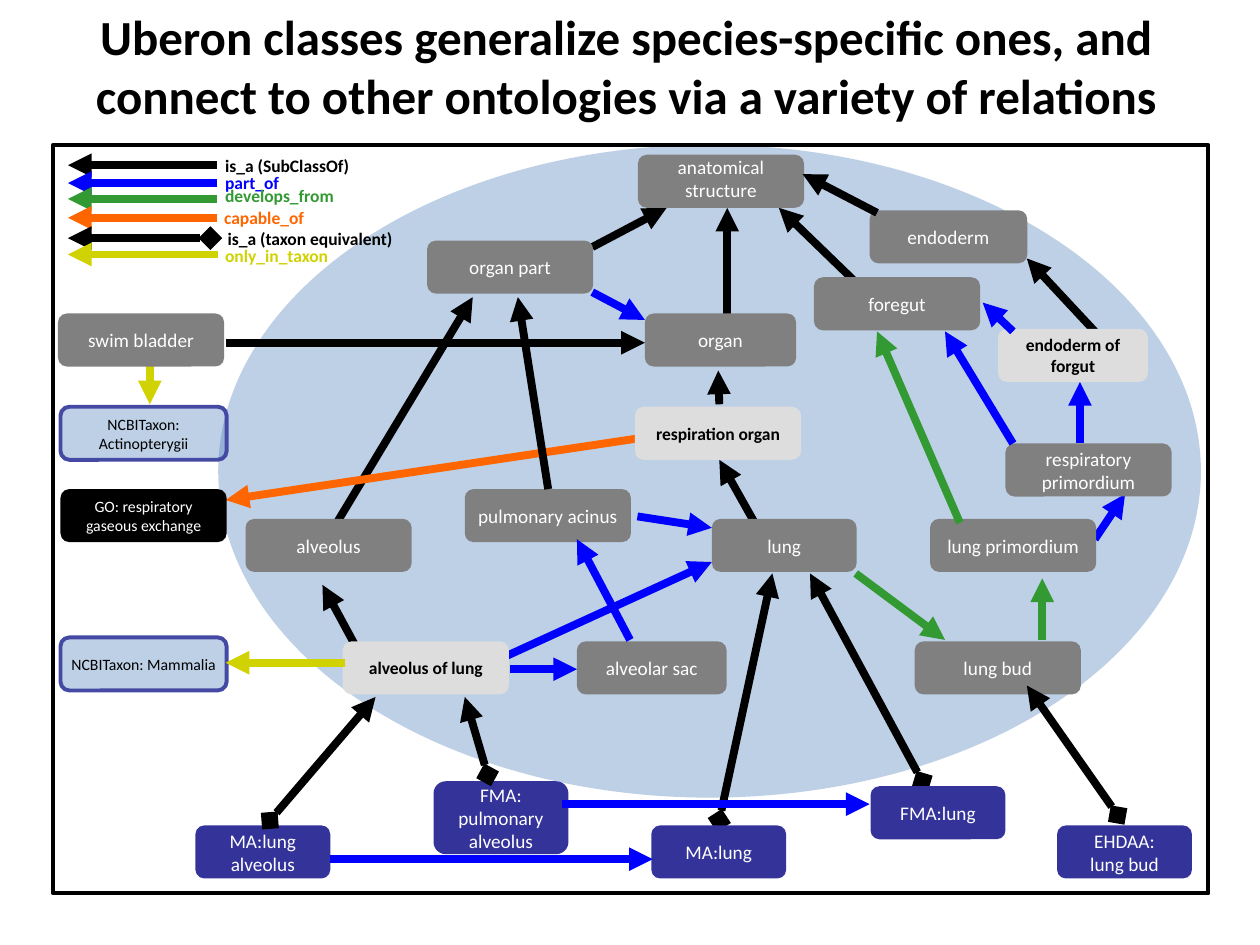
from dataclasses import dataclass
from typing import NamedTuple

from lxml import etree
from pptx import Presentation
from pptx.dml.color import RGBColor
from pptx.enum.shapes import MSO_CONNECTOR, MSO_SHAPE
from pptx.enum.text import MSO_ANCHOR, PP_ALIGN
from pptx.oxml.ns import qn
from pptx.util import Cm, Pt

STRAIGHT = MSO_CONNECTOR.STRAIGHT
ELLIPSE, RECTANGLE, ROUNDED = MSO_SHAPE.OVAL, MSO_SHAPE.RECTANGLE, MSO_SHAPE.ROUNDED_RECTANGLE
CENTER, LEFT = PP_ALIGN.CENTER, PP_ALIGN.LEFT
TOP, MIDDLE, BOTTOM = MSO_ANCHOR.TOP, MSO_ANCHOR.MIDDLE, MSO_ANCHOR.BOTTOM


class Box(NamedTuple):
    """A region in centimetres."""
    left: float
    top: float
    width: float
    height: float

    def inner(self, x, y, width, height):
        return Box(self.left + x, self.top + y, width, height)

    def lengths(self):
        return [Cm(value) for value in self]


@dataclass(frozen=True)
class Theme:
    font: str = "Calibri"
    black: str = "000000"
    white: str = "FFFFFF"
    haze: str = "4F81BD"
    haze_alpha: int = 37
    taxon_line: str = "444AA3"
    title_size: float = 28
    legend_size: float = 10
    edge_width: float = 4.5
    frame_width: float = 2.25


THEME = Theme()
RELATIONS = {
    "is_a": "000000", "part_of": "0000FF", "develops_from": "339933",
    "capable_of": "FF6600", "equivalent": "000000", "only_in_taxon": "D1D201",
}
# Kind of node: fill, text colour, text size, bold
NODE_STYLES = {
    "uberon": ("808080", THEME.white, 11, False),
    "defined": ("DDDDDD", THEME.black, 10, True),
    "species": ("333399", THEME.white, 11, False),
    "process": ("000000", THEME.white, 9, False),
    "taxon": (THEME.haze, THEME.black, 9, False),
}
NODE_WIDTH, NODE_HEIGHT, SPECIES_WIDTH = 3.35, 1.07, 2.72

# Kind, x, y, label, then width and height where they differ
NODES = [
    ("uberon", 11.79, 0.2, "anatomical structure"),
    ("defined", 19.05, 3.71, "endoderm of forgut", 3.02),
    ("uberon", 17.37, 10.01, "lung bud"),
    ("uberon", 13.28, 7.54, "lung", 2.92),
    ("defined", 11.73, 5.28, "respiration organ"),
    ("uberon", 11.93, 3.4, "organ", 3.05),
    ("uberon", 15.34, 2.67, "foregut"),
    ("uberon", 3.88, 7.54, "alveolus"),
    ("defined", 5.84, 10.01, "alveolus of lung"),
    ("uberon", 7.54, 1.93, "organ part"),
    ("species", 16.48, 12.93, "FMA:lung", SPECIES_WIDTH),
    ("species", 12.06, 13.72, "MA:lung", SPECIES_WIDTH),
    ("uberon", 16.46, 1.32, "endoderm", 3.18),
    ("process", 0.15, 6.94, "GO: respiratory gaseous exchange"),
    ("species", 2.87, 13.72, "MA:lung alveolus", SPECIES_WIDTH),
    ("species", 7.67, 12.83, "FMA: pulmonary alveolus", SPECIES_WIDTH, 1.47),
    ("taxon", 0.15, 9.93, "NCBITaxon: Mammalia"),
    ("species", 20.24, 13.72, "EHDAA:\nlung bud", SPECIES_WIDTH),
    ("uberon", 8.3, 6.94, "pulmonary acinus"),
    ("uberon", 10.56, 10.01, "alveolar sac", 3.02),
    ("uberon", 17.68, 7.54, "lung primordium"),
    ("uberon", 0.1, 3.4, "swim bladder"),
    ("uberon", 19.2, 6.02, "respiratory primordium"),
    ("taxon", 0.15, 5.28, "NCBITaxon:\nActinopterygii"),
]

# Relation, start x, start y, end x, end y
EDGES_BEHIND = [
    ("only_in_taxon", 1.95, 4.45, 1.95, 5.23),
    ("part_of", 21, 7.95, 21.61, 7.04),
    ("develops_from", 16.18, 8.64, 17.98, 9.98),
    ("is_a", 16.15, 2.74, 14.63, 1.27),
    ("equivalent", 13.43, 13.62, 14.5, 8.64),
    ("equivalent", 17.52, 12.83, 15.26, 8.64),
    ("is_a", 14.2, 7.72, 13.43, 6.35),
    ("is_a", 13.43, 5.23, 13.41, 4.55),
    ("is_a", 5.58, 7.85, 8.46, 3.07),
    ("is_a", 10.87, 2.06, 12.37, 1.27),
    ("capable_of", 11.78, 5.92, 3.48, 7.16),
    ("part_of", 10.87, 2.97, 11.93, 3.53),
    ("is_a", 13.59, 3.63, 13.59, 1.27),
    ("develops_from", 19.94, 9.98, 19.94, 8.74),
    ("is_a", 21, 3.76, 19.63, 2.29),
    ("part_of", 9.06, 10.34, 13.28, 8.41),
    ("is_a", 6.35, 10.57, 5.43, 8.87),
]
EDGES_IN_FRONT = [
    ("equivalent", 4.37, 13.62, 6.5, 11.13),
    ("equivalent", 8.76, 12.7, 8.3, 11.13),
    ("only_in_taxon", 5.89, 10.44, 3.48, 10.44),
    ("equivalent", 21.46, 13.51, 19.63, 10.9),
    ("part_of", 9.22, 10.57, 10.56, 10.57),
    ("part_of", 11.63, 9.98, 10.56, 7.95),
    ("is_a", 3.48, 3.99, 11.93, 3.99),
    ("part_of", 11.78, 7.49, 13.28, 7.72),
    ("develops_from", 18.28, 7.62, 16.61, 3.76),
    ("part_of", 19.35, 3.76, 18.74, 3.18),
    ("part_of", 20.7, 6.02, 20.7, 4.78),
    ("part_of", 19.35, 6.02, 17.98, 3.76),
    ("is_a", 9.98, 6.94, 9.37, 3.07),
    ("is_a", 16.61, 1.37, 15.11, 0.59),
    ("part_of", 5.58, 14.4, 12.09, 14.4),
    ("part_of", 10.26, 13.29, 16.46, 13.29),
]
# Relation, arrow y, arrow length, label x, label y, label width, label
LEGEND = [
    ("is_a", 0.28, 3, 3.02, 0, 3.38, "is_a (SubClassOf)"),
    ("part_of", 0.64, 3, 3.02, 0.33, 1.73, "part_of"),
    ("develops_from", 0.96, 3, 3.02, 0.61, 2.84, "develops_from"),
    ("capable_of", 1.34, 3, 3, 1.04, 2.18, "capable_of"),
    ("equivalent", 1.75, 2.87, 3.07, 1.47, 4.7, "is_a (taxon equivalent)"),
    ("only_in_taxon", 2.08, 3.02, 3.02, 1.8, 2.72, "only_in_taxon"),
]


def write(shape, text, size, color, bold=False, align=CENTER, anchor=MIDDLE, inset=(0.15, 0.08)):
    frame = shape.text_frame
    frame.word_wrap = True
    frame.vertical_anchor = anchor
    frame.margin_left = frame.margin_right = Cm(inset[0])
    frame.margin_top = frame.margin_bottom = Cm(inset[1])
    frame.text = text
    for para in frame.paragraphs:
        para.alignment = align
        para.font.name = THEME.font
        para.font.size = Pt(size)
        para.font.bold = bold
        para.font.color.rgb = RGBColor.from_string(color)


def add_box(page, kind, box, fill=None, line=None, alpha=None):
    shape = page.shapes.add_shape(kind, *box.lengths())
    shape.shadow.inherit = False
    if fill:
        shape.fill.solid()
        shape.fill.fore_color.rgb = RGBColor.from_string(fill)
    else:
        shape.fill.background()
    if alpha:
        color = shape._element.spPr.find(qn("a:solidFill"))[0]
        etree.SubElement(color, qn("a:alpha"), val=str(alpha * 1000))
    if line:
        shape.line.color.rgb = RGBColor.from_string(line)
        shape.line.width = Pt(THEME.frame_width)
    else:
        shape.line.fill.background()
    return shape


def add_edge(page, box, relation, x1, y1, x2, y2):
    ends = (box.left + x1, box.top + y1, box.left + x2, box.top + y2)
    edge = page.shapes.add_connector(STRAIGHT, *[Cm(value) for value in ends])
    edge.line.color.rgb = RGBColor.from_string(RELATIONS[relation])
    edge.line.width = Pt(THEME.edge_width)
    line = edge._element.spPr.find(qn("a:ln"))
    if relation == "equivalent":
        etree.SubElement(line, qn("a:headEnd"), type="diamond")
    etree.SubElement(line, qn("a:tailEnd"), type="triangle")
    etree.SubElement(edge._element.spPr, qn("a:effectLst"))


def add_node(page, box, kind, x, y, label, width=NODE_WIDTH, height=NODE_HEIGHT):
    fill, color, size, bold = NODE_STYLES[kind]
    line, alpha = (THEME.taxon_line, THEME.haze_alpha) if kind == "taxon" else (None, None)
    shape = add_box(page, ROUNDED, box.inner(x, y, width, height), fill, line, alpha)
    anchor = BOTTOM if label == "anatomical structure" else MIDDLE
    write(shape, label, size, color, bold, anchor=anchor)


def add_diagram(page, box):
    add_box(page, ELLIPSE, box.inner(3.33, 0, 19.81, 13.16), THEME.haze, alpha=THEME.haze_alpha)
    for edge in EDGES_BEHIND:
        add_edge(page, box, *edge)
    for node in NODES:
        add_node(page, box, *node)
    add_box(page, RECTANGLE, box, line=THEME.black)
    for edge in EDGES_IN_FRONT:
        add_edge(page, box, *edge)


def add_legend(page, box):
    for relation, y, length, label_x, label_y, width, label in LEGEND:
        add_edge(page, box, relation, length, y, 0, y)
        text = page.shapes.add_textbox(*box.inner(label_x, label_y, width, 0.58).lengths())
        write(text, label, THEME.legend_size, RELATIONS[relation], True, LEFT, TOP)


def add_title(page, box):
    text = page.shapes.add_textbox(*box.lengths())
    write(text, "Uberon classes generalize species-specific ones, and connect to "
          "other ontologies via a variety of relations",
          THEME.title_size, THEME.black, True, anchor=TOP, inset=(0.25, 0.13))


def main():
    deck = Presentation()
    deck.slide_width, deck.slide_height = Cm(25.4), Cm(19.05)
    page = deck.slides.add_slide(deck.slide_layouts[6])
    add_diagram(page, Box(1.07, 2.92, 23.29, 15.09))
    add_legend(page, Box(1.37, 3.05, 7.8, 2.4))
    add_title(page, Box(0.91, 0, 23.42, 3.84))
    deck.save("out.pptx")


if __name__ == "__main__":
    main()
